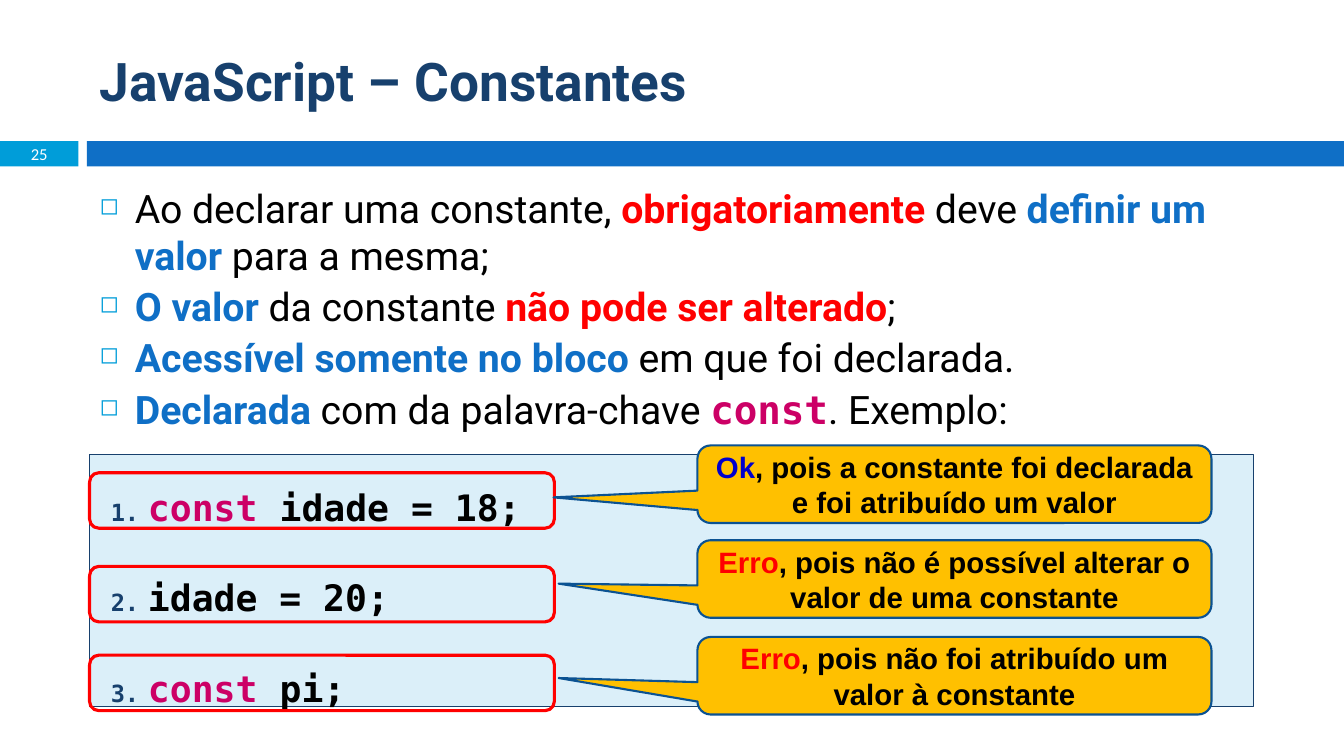
"""Builds a slide on JavaScript constants with notes, code and callouts."""
from lxml import etree
from pptx import Presentation
from pptx import util as u
from pptx.dml.color import RGBColor
from pptx.enum import shapes, text
from pptx.oxml import ns

Pt = u.Pt
BLACK = RGBColor(0x00, 0x00, 0x00)
WHITE = RGBColor(0xFF, 0xFF, 0xFF)
RED = RGBColor(0xFF, 0x00, 0x00)
NAVY = RGBColor(0x17, 0x40, 0x6D)
BLUE = RGBColor(0x0F, 0x6F, 0xC6)
CYAN = RGBColor(0x00, 0x9D, 0xD9)
PALE = RGBColor(0xDB, 0xEF, 0xF9)
PINK = RGBColor(0xCC, 0x00, 0x66)
GOLD = RGBColor(0xFF, 0xC0, 0x00)
STEEL = RGBColor(0x0B, 0x52, 0x92)
INK = RGBColor(0x00, 0x00, 0xCC)
MONO = "DejaVu Sans Mono"
KIND = shapes.MSO_SHAPE
MID = {"vertical_anchor": text.MSO_ANCHOR.MIDDLE}
CENTER = {"alignment": text.PP_ALIGN.CENTER}


def apply(target, values):
    """Set every attribute in values on target."""
    for name, value in values.items():
        setattr(target, name, value)


class Deck:
    """Holds the presentation, its current slide and the text style."""

    def __init__(self, wide, high):
        """Open a blank slide of the given size."""
        self.prs = Presentation()
        apply(self.prs, {"slide_width": Pt(wide), "slide_height": Pt(high)})
        self.slide = self.prs.slides.add_slide(self.prs.slide_layouts[6])
        self.frame = {"word_wrap": True, "vertical_anchor": text.MSO_ANCHOR.TOP}

    def shape(self, kind, at, fill=None, line=None, width=1, adj=()):
        """Add a flat preset shape."""
        item = self.slide.shapes.add_shape(kind, *map(Pt, at))
        item.shadow.inherit = False
        if fill is None:
            item.fill.background()
        else:
            item.fill.solid()
            item.fill.fore_color.rgb = fill
        if line is None:
            item.line.fill.background()
        else:
            item.line.color.rgb = line
            item.line.width = Pt(width)
        for i, value in enumerate(adj):
            item.adjustments[i] = value
        return item

    def box(self, at):
        """Add a text box."""
        return self.slide.shapes.add_textbox(*map(Pt, at))

    def label(self, item, paras, font, size, frame=None, para=None, mark=None):
        """Fill an item with paragraphs of (text, colour, bold, font) runs."""
        body = item.text_frame
        apply(body, {**self.frame, **(frame or {})})
        for i, runs in enumerate(paras):
            line = body.add_paragraph() if i else body.paragraphs[0]
            form = {"alignment": text.PP_ALIGN.LEFT, **(para or {})}
            if not i:
                form["space_before"] = Pt(0)
            apply(line, form)
            if mark:
                self.bullet(line, **mark)
            for words, color, bold, *face in runs:
                run = line.add_run()
                run.text = words
                apply(run.font, {"name": face[0] if face else font,
                                 "size": Pt(size), "bold": bold})
                run.font.color.rgb = color

    def bullet(self, line, left, hang, color, scale, tag, attrs):
        """Give a paragraph a hanging bullet or number."""
        props = line._p.get_or_add_pPr()
        props.set("marL", str(Pt(left)))
        props.set("indent", str(-Pt(hang)))
        tint = etree.SubElement(props, ns.qn("a:buClr"))
        etree.SubElement(tint, ns.qn("a:srgbClr"), val=str(color))
        etree.SubElement(props, ns.qn("a:buSzPct"), val=str(scale * 1000))
        etree.SubElement(props, ns.qn(tag), **attrs)


TITLE = [[("JavaScript – Constantes", NAVY, True)]]
NOTES = [
    [("Ao declarar uma constante, ", BLACK, False), ("obrigatoriamente", RED, True),
     (" deve ", BLACK, False), ("definir um valor ", BLUE, True),
     ("para a mesma;", BLACK, False)],
    [("O valor ", BLUE, True), ("da constante ", BLACK, False),
     ("não pode ser alterado", RED, True), (";", BLACK, False)],
    [("Acessível somente no bloco ", BLUE, True),
     ("em que foi declarada.", BLACK, False)],
    [("Declarada ", BLUE, True), ("com da palavra-chave ", BLACK, False),
     ("const", PINK, True, MONO), (". Exemplo:", BLACK, False)],
]
CODE = [
    [("const", PINK, True), (" idade = 18;", BLACK, True)],
    [("idade = 20;", BLACK, True)],
    [("const ", PINK, True), ("pi;", BLACK, True)],
]
CALLS = [
    (337.7, 318.2, (-0.78, 0.17), "Ok", INK,
     ", pois a constante foi declarada e foi atribuído um valor"),
    (404.6, 385.9, (-0.77, 0.06), "Erro", RED,
     ", pois não é possível alterar o valor de uma constante"),
    (468, 455, (-0.77, 0.03), "Erro", RED,
     ", pois não foi atribuído um valor à constante"),
]


def main():
    """Draw the slide and save it."""
    deck = Deck(960, 540)
    tab = deck.shape(KIND.RECTANGLE, (0, 100.8, 56, 18), CYAN)
    deck.label(tab, [[("25", WHITE, False)]], "Calibri", 11.9,
               {**MID, "margin_top": Pt(0), "margin_bottom": Pt(0)}, CENTER)
    deck.shape(KIND.RECTANGLE, (62, 100.8, 898, 18), BLUE)
    deck.label(deck.box((64, 18, 863, 78)), TITLE, "Roboto", 38, MID)
    deck.label(deck.box((64, 128, 841, 354)), NOTES, "Roboto", 28,
               para={"space_before": Pt(3)},
               mark={"left": 25.2, "hang": 25.2, "color": CYAN, "scale": 60,
                     "tag": "a:buChar", "attrs": {"char": "◻"}})
    panel = deck.shape(KIND.RECTANGLE, (64, 324.7, 831.6, 180), PALE, NAVY, 0.75)
    deck.label(panel, CODE, MONO, 26, {"margin_top": Pt(6)},
               {"line_spacing": 1.5, "space_before": Pt(6), "space_after": Pt(12)},
               {"left": 34.6, "hang": 26.6, "color": NAVY, "scale": 65,
                "tag": "a:buAutoNum", "attrs": {"type": "arabicPeriod"}})
    for ring, top, tip, head, color, rest in CALLS:
        deck.shape(KIND.ROUNDED_RECTANGLE, (64, ring, 332, 39.6), None, RED, 2.25)
        call = deck.shape(KIND.ROUNDED_RECTANGULAR_CALLOUT, (498.2, top, 367.2, 55.4),
                          GOLD, STEEL, 1.5, (*tip, 0.17))
        deck.label(call, [[(head, color, True), (rest, BLACK, True)]],
                   "Arial", 21, MID, CENTER)
    deck.prs.save("out.pptx")


if __name__ == "__main__":
    main()
